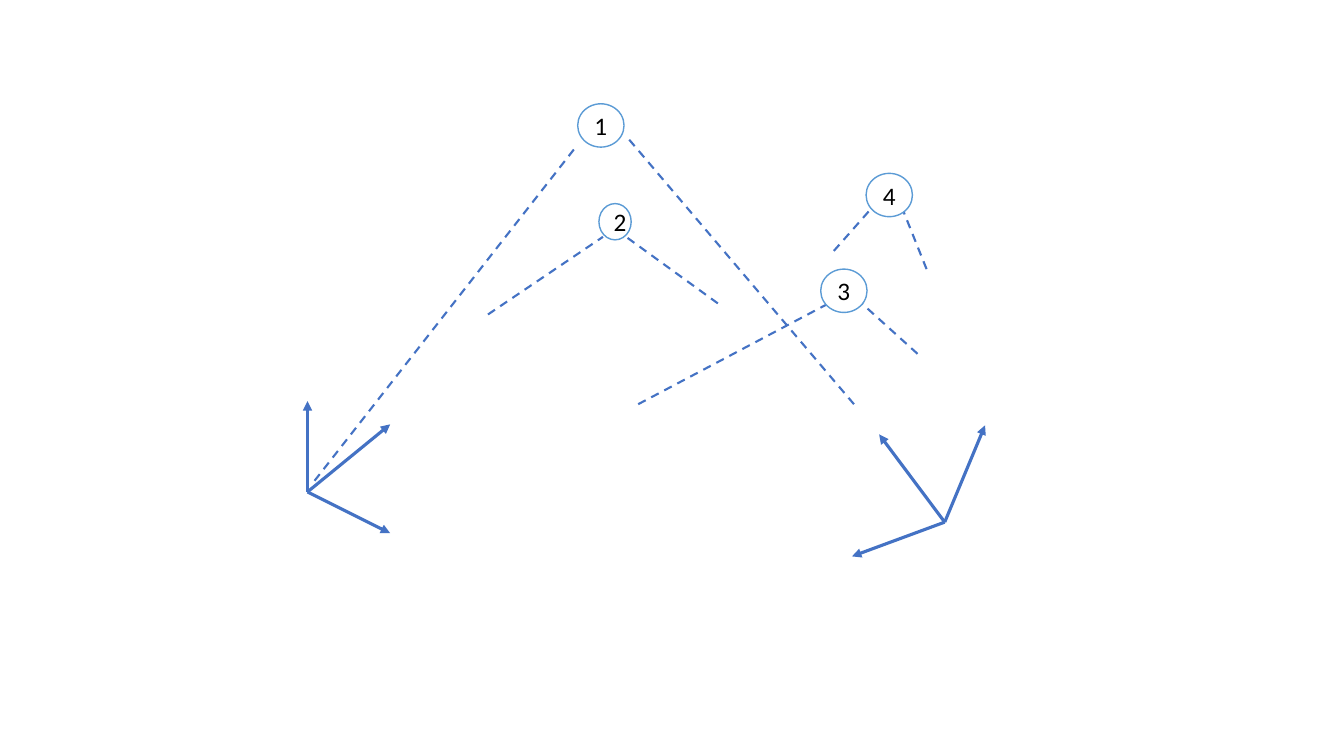
from lxml.etree import SubElement
from pptx import Presentation
from pptx.dml.color import RGBColor
from pptx.enum.dml import MSO_LINE
from pptx.enum.shapes import MSO_CONNECTOR, MSO_SHAPE
from pptx.enum.text import MSO_ANCHOR, PP_ALIGN
from pptx.oxml.ns import qn
from pptx.util import Inches, Pt

THEME = {
    "ray": RGBColor(0x44, 0x72, 0xC4),
    "ring": RGBColor(0x5B, 0x9B, 0xD5),
    "paper": RGBColor(0xFF, 0xFF, 0xFF),
    "axis_width": Pt(2.25),
    "sight_width": Pt(1.5),
    "ring_width": Pt(1),
    "label": {"size": Pt(18), "name": "Calibri"},
    "ink": RGBColor(0, 0, 0),
}
CELL = Inches(0.1)  # the slide is a grid of 133.3 columns by 75 rows

# Each camera frame: origin, then the tips of its three axes (column, row)
CAMERA_FRAMES = [
    ((93.7, 51.8), [(87.2, 43.1), (97.7, 42.2), (84.5, 55.2)]),
    ((30.5, 48.8), [(30.5, 39.8), (38.7, 42.1), (38.7, 52.9)]),
]

# Each landmark: left, top, width, height, then its sight lines (far, near)
LANDMARKS = [
    ((57.3, 10.3, 4.6, 4.3),
     [((31.2, 47.7), (57.1, 14.6)), ((84.7, 40.1), (62.1, 13.5))]),
    ((59.4, 20.2, 3.2, 3.6),
     [((71.2, 30.1), (62.1, 23.5)), ((48.4, 31.2), (59.8, 23.5))]),
    ((81.4, 26.7, 4.6, 4.3),
     [((63.3, 40.1), (83.7, 29.3)), ((91, 35.1), (84.7, 29.4))]),
    ((85.9, 17.2, 4.6, 4.3),
     [((91.9, 26.7), (89.1, 19.7)), ((82.7, 24.9), (87.2, 19.8))]),
]

deck = Presentation()
deck.slide_width = Inches(13.33)
deck.slide_height = Inches(7.5)
slide = deck.slides.add_slide(deck.slide_layouts[6])


def cells(*counts):
    return [round(count * CELL) for count in counts]


def add_ray(start, end, width):
    ray = slide.shapes.add_connector(
        MSO_CONNECTOR.STRAIGHT, *cells(*start, *end))
    ray.line.color.rgb = THEME["ray"]
    ray.line.width = width
    SubElement(ray._element.spPr, qn("a:effectLst"))
    return ray


for origin, tips in CAMERA_FRAMES:
    for tip in tips:
        axis = add_ray(origin, tip, THEME["axis_width"])
        SubElement(axis.line._get_or_add_ln(), qn("a:tailEnd"), type="triangle")

for _, sight_lines in LANDMARKS:
    for far, near in sight_lines:
        sight = add_ray(far, near, THEME["sight_width"])
        sight.line.dash_style = MSO_LINE.DASH

for number, (bounds, _) in enumerate(LANDMARKS, start=1):
    landmark = slide.shapes.add_shape(MSO_SHAPE.OVAL, *cells(*bounds))
    landmark.shadow.inherit = False
    landmark.fill.solid()
    landmark.fill.fore_color.rgb = THEME["paper"]
    landmark.line.color.rgb = THEME["ring"]
    landmark.line.width = THEME["ring_width"]
    landmark.text_frame.vertical_anchor = MSO_ANCHOR.MIDDLE
    label = landmark.text_frame.paragraphs[0]
    label.alignment = PP_ALIGN.CENTER
    digit = label.add_run()
    digit.text = str(number)
    digit.font.color.rgb = THEME["ink"]
    for attribute, value in THEME["label"].items():
        setattr(digit.font, attribute, value)

deck.save("out.pptx")
